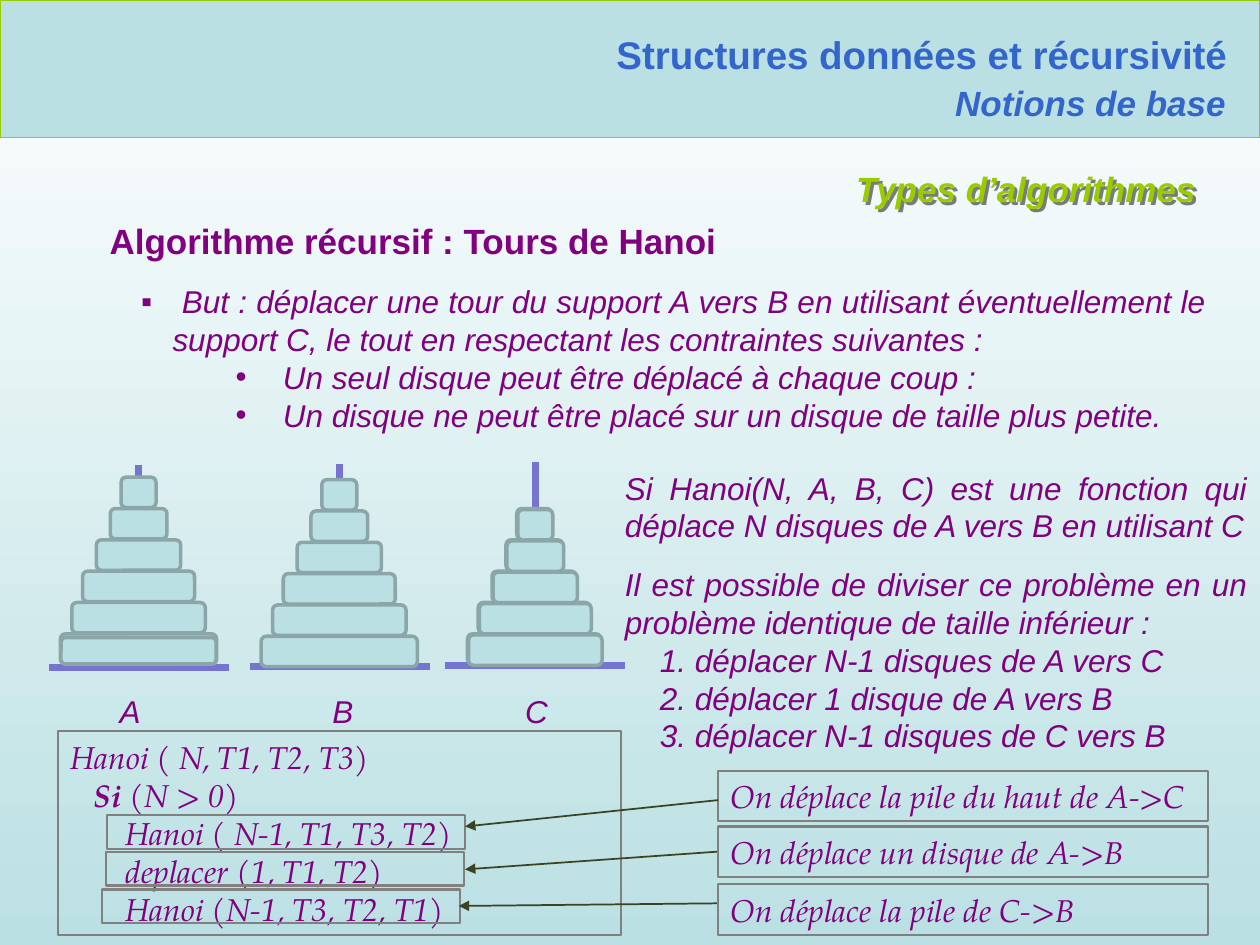
from lxml import etree
from pptx import Presentation
from pptx import util as u
from pptx.dml.color import RGBColor
from pptx.enum import shapes, text
from pptx.oxml.ns import qn

Pt = u.Pt
ALIGN = text.PP_ALIGN

PALE = RGBColor(0xBB, 0xE0, 0xE3)
WHITE = RGBColor(0xFF, 0xFF, 0xFF)
BLUE = RGBColor(0x33, 0x66, 0xCC)
GREEN = RGBColor(0x99, 0xCC, 0x00)
PURPLE = RGBColor(0x80, 0x00, 0x80)
PEG = RGBColor(0x75, 0x75, 0xD1)
DISC_EDGE = RGBColor(0x8A, 0xA6, 0xA8)
GREY = RGBColor(0x80, 0x80, 0x80)
ARROW = RGBColor(0x3B, 0x43, 0x23)

SANS = "Arial"
SERIF = "TeX Gyre Pagella"

DISC_WIDTHS = [89.3, 76.3, 64, 48.2, 32.4, 20]
DISC_PITCH = 17.9
DISC_HEIGHT = 17.4


def place(shape, left, top, width, height):
    shape.left, shape.top = Pt(left), Pt(top)
    shape.width, shape.height = Pt(width), Pt(height)


def style_para(para, size, color, font=SANS, bold=False, italic=True, align=ALIGN.LEFT):
    para.alignment = align
    para.space_before = Pt(0)
    for span in para.runs:
        span.font.size, span.font.name = Pt(size), font
        span.font.bold, span.font.italic = bold, italic
        span.font.color.rgb = color


def set_bullet(para, left, indent=0, char=None):
    """Set the paragraph's indents and its bullet, or no bullet."""
    props = para._p.get_or_add_pPr()
    props.set("marL", str(Pt(left)))
    props.set("indent", str(Pt(indent)))
    if char:
        etree.SubElement(props, qn("a:buFont"), typeface=SANS)
        etree.SubElement(props, qn("a:buChar"), char=char)
    else:
        etree.SubElement(props, qn("a:buNone"))


def make_shadow(distance, opacity):
    effects = etree.Element(qn("a:effectLst"))
    shadow = etree.SubElement(effects, qn("a:outerShdw"), dist=str(Pt(distance)), dir="2700000")
    color = etree.SubElement(shadow, qn("a:srgbClr"), val="000000")
    etree.SubElement(color, qn("a:alpha"), val=str(opacity * 1000))
    return effects


def set_frame(shape, wrap=True, anchor=text.MSO_ANCHOR.TOP):
    frame = shape.text_frame
    frame.auto_size = text.MSO_AUTO_SIZE.NONE
    frame.word_wrap = wrap
    frame.vertical_anchor = anchor
    return frame


def add_label(page, words, box, size, color, wrap=False, **style):
    label = page.shapes.add_textbox(*map(Pt, box))
    frame = set_frame(label, wrap)
    frame.text = words
    style_para(frame.paragraphs[0], size, color, **style)
    return label


def add_box(page, kind, box, fill, edge, weight):
    shape = page.shapes.add_shape(kind, *map(Pt, box))
    shape.shadow.inherit = False
    if fill is None:
        shape.fill.background()
    else:
        shape.fill.solid()
        shape.fill.fore_color.rgb = fill
    shape.line.color.rgb = edge
    shape.line.width = Pt(weight)
    return shape


def add_frame_box(page, box, lines=()):
    shape = add_box(page, shapes.MSO_SHAPE.RECTANGLE, box, None, GREY, 1.25)
    if lines:
        frame = set_frame(shape, anchor=text.MSO_ANCHOR.MIDDLE)
        frame.text = "\n".join(lines)
        for para in frame.paragraphs:
            style_para(para, 18, PURPLE, SERIF)
    return shape


def add_line(page, start, end, color, weight, arrow=False):
    line = page.shapes.add_connector(shapes.MSO_CONNECTOR.STRAIGHT, *map(Pt, start + end))
    line.line.color.rgb = color
    line.line.width = Pt(weight)
    if arrow:
        etree.SubElement(line.line._get_or_add_ln(), qn("a:tailEnd"), type="triangle")
    etree.SubElement(line._element.spPr, qn("a:effectLst"))


def add_disc(page, center, top, width, height=DISC_HEIGHT):
    add_box(page, shapes.MSO_SHAPE.ROUNDED_RECTANGLE,
            (center - width / 2, top, width, height), PALE, DISC_EDGE, 2)


def add_discs(page, center, lowest_top, widths):
    for level, width in enumerate(widths):
        add_disc(page, center, lowest_top - level * DISC_PITCH, width)


def add_support(page, center, base_left, base_y):
    add_line(page, (center, base_y - 116), (center, base_y), PEG, 4)
    add_line(page, (base_left, base_y), (base_left + 103, base_y), PEG, 4)


def add_header(page):
    add_box(page, shapes.MSO_SHAPE.RECTANGLE, (0, 0, 720, 78.5), PALE, GREEN, 0.75)
    add_line(page, (24.5, 78.5), (702.7, 78.5), GREEN, 0.75)
    title = page.shapes.title
    place(title, 340.5, 14.4, 368, 33.8)
    # Bring the title in front of the band
    page.shapes._spTree.append(title._element)
    frame = set_frame(title, wrap=False)
    frame.text = "Structures données et récursivité"
    para = frame.paragraphs[0]
    style_para(para, 22, BLUE, bold=True, italic=False, align=ALIGN.RIGHT)
    props = para.runs[0]._r.get_or_add_rPr()
    props.find(qn("a:latin")).addprevious(make_shadow(2, 100))
    add_label(page, "Notions de base", (537.1, 43.2, 170.6, 31.7), 20, BLUE,
              bold=True, align=ALIGN.RIGHT)
    topic = add_label(page, "Types d’algorithmes", (388.1, 92.2, 302.4, 31.7), 20, GREEN,
                      wrap=True, bold=True, align=ALIGN.RIGHT)
    topic._element.spPr.append(make_shadow(2.5, 50))


def fill_body(body, box, rows):
    """Rows hold: words, left indent, first-line indent, bullet."""
    place(body, *box)
    frame = set_frame(body)
    frame.text = "\n".join(row[0] for row in rows)
    for para, (_, left, indent, char) in zip(frame.paragraphs, rows):
        set_bullet(para, left, indent, char)
        style_para(para, 18, PURPLE, align=ALIGN.JUSTIFY)
        para.space_after = Pt(0)
    frame.paragraphs[0].space_after = Pt(12)
    return frame


def add_lists(page):
    goal, division = page.placeholders[1], page.placeholders[2]
    frame = fill_body(goal, (55.4, 121.7, 641, 131), [
        ("Algorithme récursif : Tours de Hanoi", 0, 0, None),
        (" But : déplacer une tour du support A vers B en utilisant éventuellement le "
         "support C, le tout en respectant les contraintes suivantes :", 36, -18, "▪"),
        ("Un seul disque peut être déplacé à chaque coup :", 99, -27, "•"),
        ("Un disque ne peut être placé sur un disque de taille plus petite.", 99, -27, "•"),
    ])
    style_para(frame.paragraphs[0], 20, PURPLE, bold=True, italic=False, align=ALIGN.JUSTIFY)
    fill_body(division, (313.9, 264.2, 406, 172), [
        ("Si Hanoi(N, A, B, C) est une fonction qui déplace N disques de A vers B "
         "en utilisant C", 36, 0, None),
        ("Il est possible de diviser ce problème en un problème identique de taille "
         "inférieur :", 36, 0, None),
        ("1. déplacer N-1 disques de A vers C", 56, 0, None),
        ("2. déplacer 1 disque de A vers B", 56, 0, None),
        ("3. déplacer N-1 disques de C vers B", 56, 0, None),
    ])


def add_towers(page):
    # Name, label left, peg centre, base left, base height
    for name, label_left, center, base_left, base_y in [
            ("A", 61.2, 79.2, 28.1, 381.6),
            ("B", 182.9, 193.9, 142.6, 380.9),
            ("C", 293, 306, 254.2, 380.2)]:
        add_support(page, center, base_left, base_y)
        add_label(page, name, (label_left, 391.7, 27, 28.8), 18, PURPLE)
    add_discs(page, 79.2, 362.2, DISC_WIDTHS)
    add_disc(page, 79.2, 364.3, 88.6, 15.1)
    add_discs(page, 193.9, 363.6, DISC_WIDTHS)
    # The third tower has no widest disc; its discs are doubled
    for shift in (0, 0.6):
        add_discs(page, 305.3 + shift, 362.2 + shift, DISC_WIDTHS[1:])


def add_code(page):
    code = add_frame_box(page, (33.1, 417.6, 321.8, 116.6), [
        "Hanoi ( N, T1, T2, T3)",
        "   Si (N > 0)",
        "       Hanoi ( N-1, T1, T3, T2)",
        "       deplacer (1, T1, T2)",
        "       Hanoi (N-1, T3, T2, T1)",
    ])
    # Bold keyword
    condition = code.text_frame.paragraphs[1]
    condition.text = "   "
    for words in ("Si", " (N > 0)"):
        condition.add_run().text = words
    style_para(condition, 18, PURPLE, SERIF)
    condition.runs[1].font.bold = True

    # Explanation, its top, step box corner, arrow start and end
    for words, top, step, start, end in [
            ("On déplace la pile du haut de A->C", 440.6, (61.2, 465.8),
             (410.4, 457.2), (265.7, 472.3)),
            ("On déplace un disque de A->B", 472.3, (60.5, 486.7),
             (409.7, 486.7), (265.7, 496.8)),
            ("On déplace la pile de C->B", 505.4, (58.3, 508.3),
             (409.7, 516.2), (262.1, 517.7))]:
        add_frame_box(page, (410.4, top, 280.1, 28.8), [words])
        add_frame_box(page, step + (204.5, 19.4))
        add_line(page, start, end, ARROW, 1, arrow=True)


def main():
    deck = Presentation()
    deck.slide_width, deck.slide_height = Pt(720), Pt(540)
    page = deck.slides.add_slide(deck.slide_layouts[3])
    backdrop = page.background.fill
    backdrop.gradient()
    backdrop.gradient_angle = 270
    for stop, color, position in zip(backdrop.gradient_stops, (WHITE, PALE), (0, 1)):
        stop.color.rgb = color
        stop.position = position
    add_header(page)
    add_lists(page)
    add_towers(page)
    add_code(page)
    deck.save("out.pptx")


if __name__ == "__main__":
    main()
